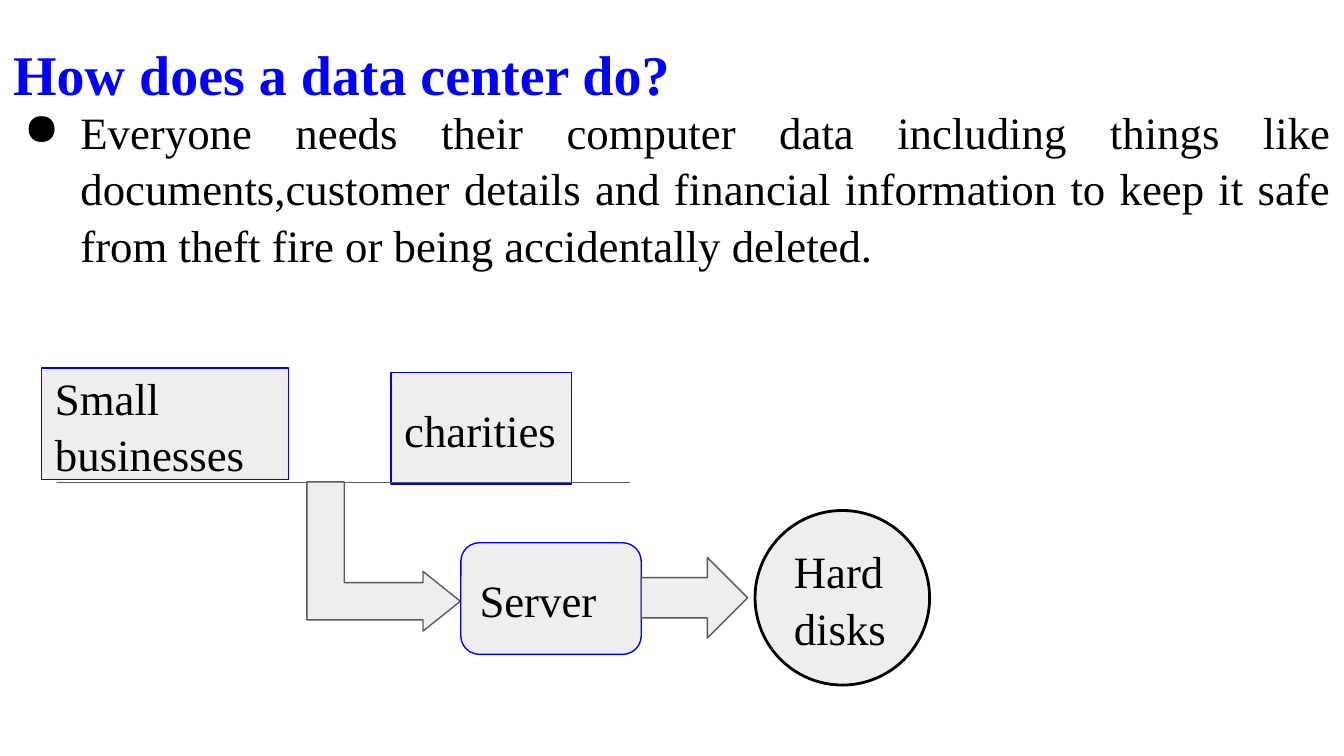
from dataclasses import dataclass
from lxml.etree import SubElement
from pptx import Presentation
from pptx.dml.color import RGBColor as RGB
from pptx.enum.shapes import MSO_CONNECTOR as LINE, MSO_SHAPE as SHAPE
from pptx.enum.text import MSO_ANCHOR as ANCHOR, MSO_AUTO_SIZE as FIT, PP_ALIGN as ALIGN
from pptx.oxml.ns import qn
from pptx.util import Cm, Pt


@dataclass(frozen=True)
class Theme:
    font: str = "Times New Roman"
    head: int = 30
    body: int = 24
    space: float = 1.05
    blue: RGB = RGB(0, 0, 255)
    black: RGB = RGB(0, 0, 0)
    gray: RGB = RGB(0x59, 0x59, 0x59)
    pale: RGB = RGB(0xEE, 0xEE, 0xEE)


theme = Theme()


def place(shape, box):
    shape.left, shape.top, shape.width, shape.height = map(Cm, box)


def write(shape, text, size=theme.body, color=theme.black, bold=False,
          align=ALIGN.LEFT, anchor=ANCHOR.MIDDLE, space=theme.space):
    """Fill the text frame with one paragraph and return it."""
    frame = shape.text_frame
    frame.text = text
    frame.word_wrap = True
    frame.auto_size = FIT.NONE
    frame.vertical_anchor = anchor
    frame.margin_left = frame.margin_right = Cm(0.25)
    frame.margin_top = frame.margin_bottom = Cm(0.25)
    para = frame.paragraphs[0]
    para.alignment = align
    para.line_spacing = space
    font = para.font
    font.name, font.size, font.bold = theme.font, Pt(size), bold
    font.color.rgb = color
    return para


def add_title(slide, box, text):
    title = slide.shapes.title
    place(title, box)
    write(title, text, theme.head, theme.blue, True, anchor=ANCHOR.TOP, space=1.15)


def add_point(slide, box, text):
    """Add a justified paragraph with a hanging bullet."""
    note = slide.shapes.add_textbox(*map(Cm, box))
    para = write(note, text, align=ALIGN.JUSTIFY, anchor=ANCHOR.TOP)
    props = para._p.get_or_add_pPr()
    props.set("marL", str(Cm(1.27)))
    props.set("indent", str(Cm(-1.07)))
    SubElement(props, qn("a:buChar"), char="●")


def add_node(slide, kind, box, edge, text="", width=0.75):
    node = slide.shapes.add_shape(kind, *map(Cm, box))
    node.shadow.inherit = False
    node.fill.solid()
    node.fill.fore_color.rgb = theme.pale
    node.line.color.rgb = edge
    node.line.width = Pt(width)
    if text:
        write(node, text)
    return node


def add_rule(slide, x, y, length):
    rule = slide.shapes.add_connector(LINE.STRAIGHT, Cm(x), Cm(y), Cm(x + length), Cm(y))
    rule.line.color.rgb = theme.gray
    rule.line.width = Pt(0.75)
    SubElement(rule._element.spPr, qn("a:effectLst"))


def add_flow(slide, x, y):
    """Draw the clients, the server and the disks from the corner x, y."""
    wide, high = 3.41, 2.11
    add_node(slide, SHAPE.RECTANGLE, (x, y, 4.67, high), theme.blue, "Small businesses")
    add_node(slide, SHAPE.RECTANGLE, (x + 6.6, y + 0.08, wide, high), theme.blue, "charities")
    add_rule(slide, x + 0.28, y + 2.16, 10.84)

    bend = add_node(slide, SHAPE.BENT_UP_ARROW, (x + 5.05, y + 2.11, 2.82, 2.9), theme.gray)
    bend.rotation = 90
    bend.adjustments[1] = 0.2

    left = x + 7.92
    add_node(slide, SHAPE.ROUNDED_RECTANGLE, (left, y + 3.3, wide, high), theme.blue, "Server")
    add_node(slide, SHAPE.RIGHT_ARROW, (left + wide, y + 3.58, 2.01, 1.52), theme.gray)
    add_node(slide, SHAPE.OVAL, (x + 13.48, y + 2.69, 3.3, 3.3), theme.black, "Hard disks", 1.5)


def main():
    deck = Presentation()
    deck.slide_width, deck.slide_height = Cm(25.4), Cm(14.29)
    slide = deck.slides.add_slide(deck.slide_layouts[5])
    add_title(slide, (0, 0.3, 23.67, 1.37), "How does a data center do?")
    add_point(slide, (0, 1.68, 25.4, 3.45),
              "Everyone needs their computer data including things like "
              "documents,customer details and financial information to keep it safe "
              "from theft fire or being accidentally deleted.")
    add_flow(slide, 0.79, 6.96)
    deck.save("out.pptx")


if __name__ == "__main__":
    main()
